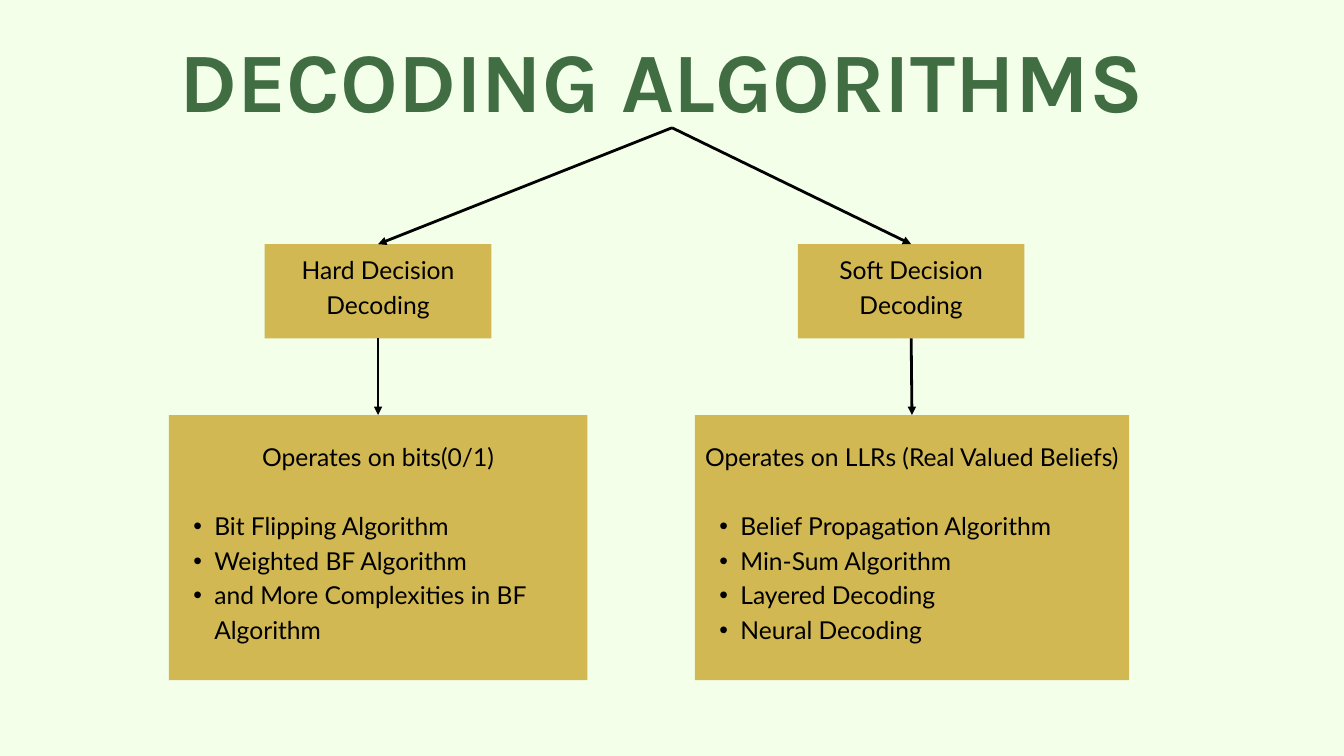
from lxml.etree import SubElement
from pptx import Presentation
from pptx.dml.color import RGBColor
from pptx.enum.shapes import MSO_CONNECTOR, MSO_SHAPE
from pptx.enum.text import MSO_ANCHOR, MSO_AUTO_SIZE, PP_ALIGN
from pptx.oxml.ns import qn
from pptx.util import Cm, Pt

BACKGROUND, GOLD, GREEN, BLACK = "F4FFEA", "D1B852", "406D41", "000000"
SLIDE_WIDTH, SLIDE_HEIGHT = 50.8, 28.58
FORK_X, FORK_Y = 25.4, 4.83
HEADER_TOP, HEADER_WIDTH, HEADER_HEIGHT = 9.23, 8.57, 3.56
LIST_TOP, LIST_HEIGHT = 15.69, 10.02

# header text, header centre, list centre, list width, list heading, list items
BRANCHES = [
    ("Hard Decision Decoding", 14.29, 14.29, 15.82, "Operates on bits(0/1)",
     ["Bit Flipping Algorithm", "Weighted BF Algorithm",
      "and More Complexities in BF Algorithm"]),
    ("Soft Decision Decoding", 34.44, 34.47, 16.41, "Operates on LLRs (Real Valued Beliefs)",
     ["Belief Propagation Algorithm", "Min-Sum Algorithm",
      "Layered Decoding", "Neural Decoding"]),
]


def write(shape, text, font="Lato", size=26.4, color=BLACK, bold=False, spacing=37,
          before=0, bullet=False, anchor=MSO_ANCHOR.MIDDLE, margins=(0.15, 0.15, 0.15, 0.66)):
    """Add one paragraph to the shape; margins are left, top, right and bottom in cm."""
    frame = shape.text_frame
    frame.word_wrap = True
    frame.auto_size = MSO_AUTO_SIZE.NONE
    frame.vertical_anchor = anchor
    (frame.margin_left, frame.margin_top,
     frame.margin_right, frame.margin_bottom) = [Cm(margin) for margin in margins]

    paragraph = frame.add_paragraph() if frame.text else frame.paragraphs[0]
    properties = paragraph._p.get_or_add_pPr()
    properties.set("marL", str(Cm(1.57) if bullet else 0))
    properties.set("indent", str(Cm(-0.79) if bullet else 0))
    if bullet:
        SubElement(properties, qn("a:buFont"), typeface="Arial")
        SubElement(properties, qn("a:buChar"), char="•")
    else:
        SubElement(properties, qn("a:buNone"))
    paragraph.alignment = PP_ALIGN.LEFT if bullet else PP_ALIGN.CENTER
    paragraph.line_spacing = Pt(spacing)
    paragraph.space_before = Pt(before)
    paragraph.space_after = Pt(0)

    run = paragraph.add_run()
    run.text = text
    run.font.name = font
    run.font.size = Pt(size)
    run.font.bold = bold
    run.font.color.rgb = RGBColor.from_string(color)


def add_arrow(slide, *ends):
    arrow = slide.shapes.add_connector(MSO_CONNECTOR.STRAIGHT, *[Cm(end) for end in ends])
    arrow.line.width = Pt(3)
    arrow.line.color.rgb = RGBColor.from_string(BLACK)
    SubElement(arrow.line._get_or_add_ln(), qn("a:tailEnd"), type="triangle")
    SubElement(arrow._element.spPr, qn("a:effectLst"))


presentation = Presentation()
presentation.slide_width = Cm(SLIDE_WIDTH)
presentation.slide_height = Cm(SLIDE_HEIGHT)
slide = presentation.slides.add_slide(presentation.slide_layouts.get_by_name("Two Content"))
slide.background.fill.solid()
slide.background.fill.fore_color.rgb = RGBColor.from_string(BACKGROUND)

title, *list_boxes = slide.placeholders
title.left, title.top, title.width, title.height = Cm(0), Cm(0.43), Cm(50), Cm(4.4)
write(title, "DECODING ALGORITHMS", font="Karla", size=90.6, color=GREEN, bold=True,
      spacing=126.8, anchor=MSO_ANCHOR.TOP, margins=(0, 0, 0, 0))

for list_box, branch in zip(list_boxes, BRANCHES):
    header_text, header_center, list_center, list_width, heading, items = branch

    header = slide.shapes.add_shape(
        MSO_SHAPE.RECTANGLE, Cm(header_center - HEADER_WIDTH / 2), Cm(HEADER_TOP),
        Cm(HEADER_WIDTH), Cm(HEADER_HEIGHT))
    header.shadow.inherit = False
    header.line.fill.background()
    list_box.left, list_box.top = Cm(list_center - list_width / 2), Cm(LIST_TOP)
    list_box.width, list_box.height = Cm(list_width), Cm(LIST_HEIGHT)
    for box in (header, list_box):
        box.fill.solid()
        box.fill.fore_color.rgb = RGBColor.from_string(GOLD)

    write(header, header_text)
    write(list_box, heading)
    for index, item in enumerate(items):
        write(list_box, item, bullet=True, before=37 if index == 0 else 0)

    add_arrow(slide, FORK_X, FORK_Y, header_center, HEADER_TOP)
    add_arrow(slide, header_center, HEADER_TOP + HEADER_HEIGHT, list_center, LIST_TOP)

presentation.save("out.pptx")
